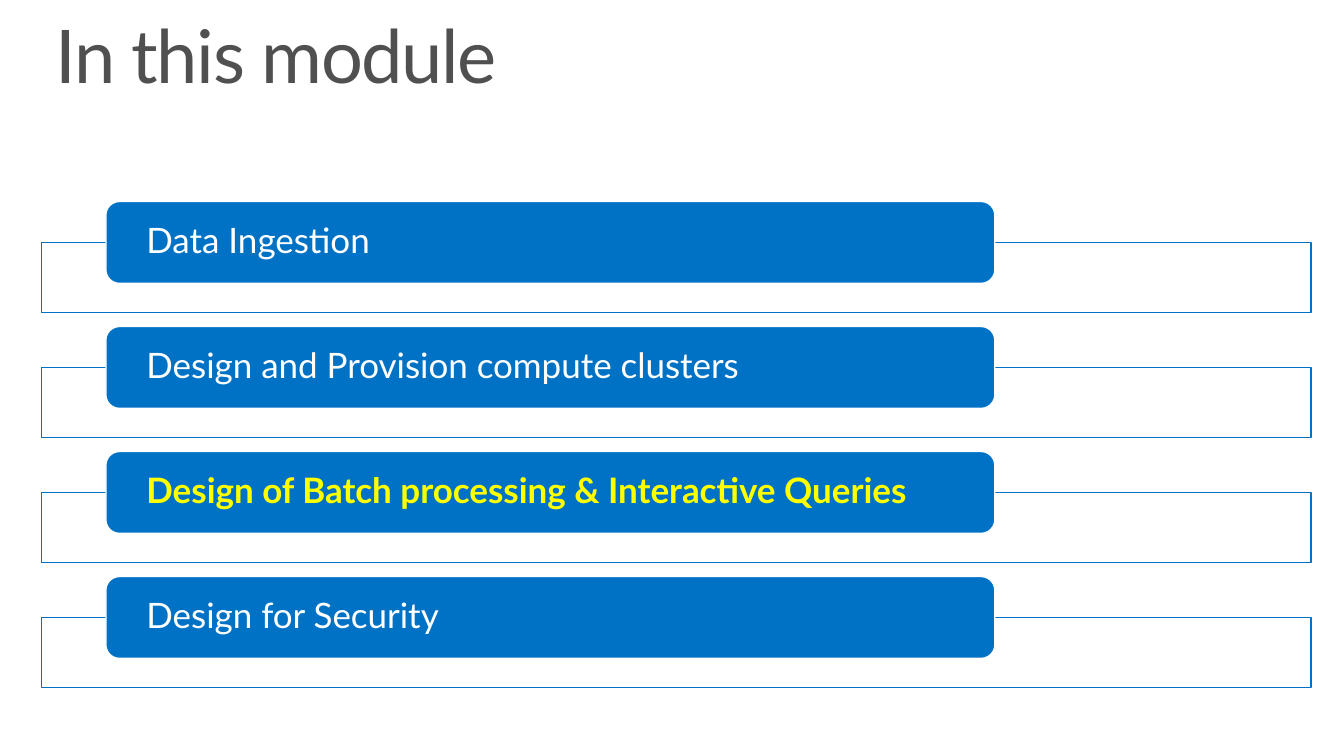
from lxml.etree import SubElement
from pptx import Presentation
from pptx.dml.color import RGBColor as Rgb
from pptx.enum.shapes import MSO_SHAPE as Kind
from pptx.enum.text import MSO_ANCHOR as Anchor, PP_ALIGN as Align
from pptx.oxml.ns import qn
from pptx.util import Cm, Pt

COLORS = {"blue": "0072C6", "white": "FFFFFF", "gray": "505050", "yellow": "FFFF00"}
TOPICS = [
    "Data Ingestion",
    "Design and Provision compute clusters",
    "Design of Batch processing & Interactive Queries",
    "Design for Security",
]
ACTIVE = 2  # index of the topic in focus
PITCH = 3.15  # distance between rows, cm


def color(name):
    return Rgb.from_string(COLORS[name])


def write(shape, text, size, tint, bold=False, anchor=Anchor.MIDDLE,
          inset=(0, 0), track=None):
    frame = shape.text_frame
    frame.word_wrap = True
    frame.vertical_anchor = anchor
    frame.margin_left = frame.margin_right = Cm(inset[0])
    frame.margin_top = frame.margin_bottom = Cm(inset[1])
    par = frame.paragraphs[0]
    par.alignment = Align.LEFT
    par.line_spacing = 0.9
    run = par.add_run()
    run.text = text
    font = run.font
    font.name, font.size, font.bold = "Lato", Pt(size), bold
    font.color.rgb = color(tint)
    if track is not None:
        run._r.get_or_add_rPr().set("spc", str(track))


def add_box(slide, kind, box, fill, line):
    shape = slide.shapes.add_shape(kind, *map(Cm, box))
    shape.shadow.inherit = False
    shape.fill.solid()
    shape.fill.fore_color.rgb = color(fill)
    shape.line.color.rgb = color(line)
    shape.line.width = Pt(0.85)
    return shape


def add_title(slide, text, box):
    title = slide.shapes.title
    title.left, title.top, title.width, title.height = map(Cm, box)
    write(title, text, 52.9, "gray", anchor=Anchor.TOP,
          inset=(0.41, 0.25), track=-100)


def add_topic(slide, text, box, active):
    left, top, width, height = box
    # Outline behind the lower part of the row
    drop = 1.04
    frame = add_box(slide, Kind.RECTANGLE,
                    (left, top + drop, width, height - drop), "white", "blue")
    tone = frame.fill._xPr.find(qn("a:solidFill"))[0]
    SubElement(tone, qn("a:alpha")).set("val", "90000")
    # Label
    label = add_box(slide, Kind.ROUNDED_RECTANGLE,
                    (left + 1.63, top, width * 0.7, 2.06), "blue", "white")
    write(label, text, 25, "yellow" if active else "white",
          bold=active, inset=(0.92, 0))


def add_list(slide, topics, box):
    left, top, width, height = box
    for i, topic in enumerate(topics):
        add_topic(slide, topic, (left, top + i * PITCH, width, height), i == ACTIVE)


def main():
    deck = Presentation()
    deck.slide_width, deck.slide_height = Cm(33.87), Cm(19.05)
    slide = deck.slides.add_slide(deck.slide_layouts[5])
    add_title(slide, "In this module", (0.99, 0.23, 29.21, 3.68))
    add_list(slide, TOPICS, (1.04, 5.08, 32, 2.79))
    deck.save("out.pptx")


if __name__ == "__main__":
    main()
